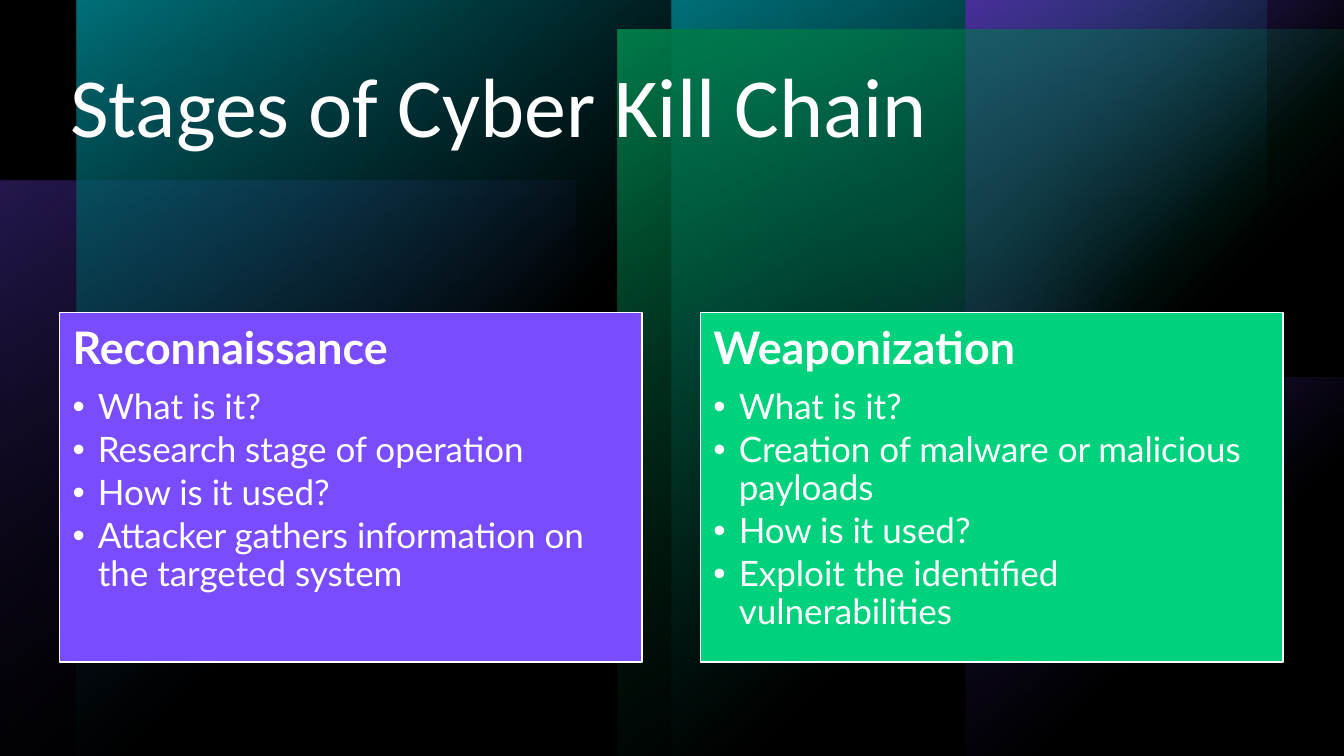
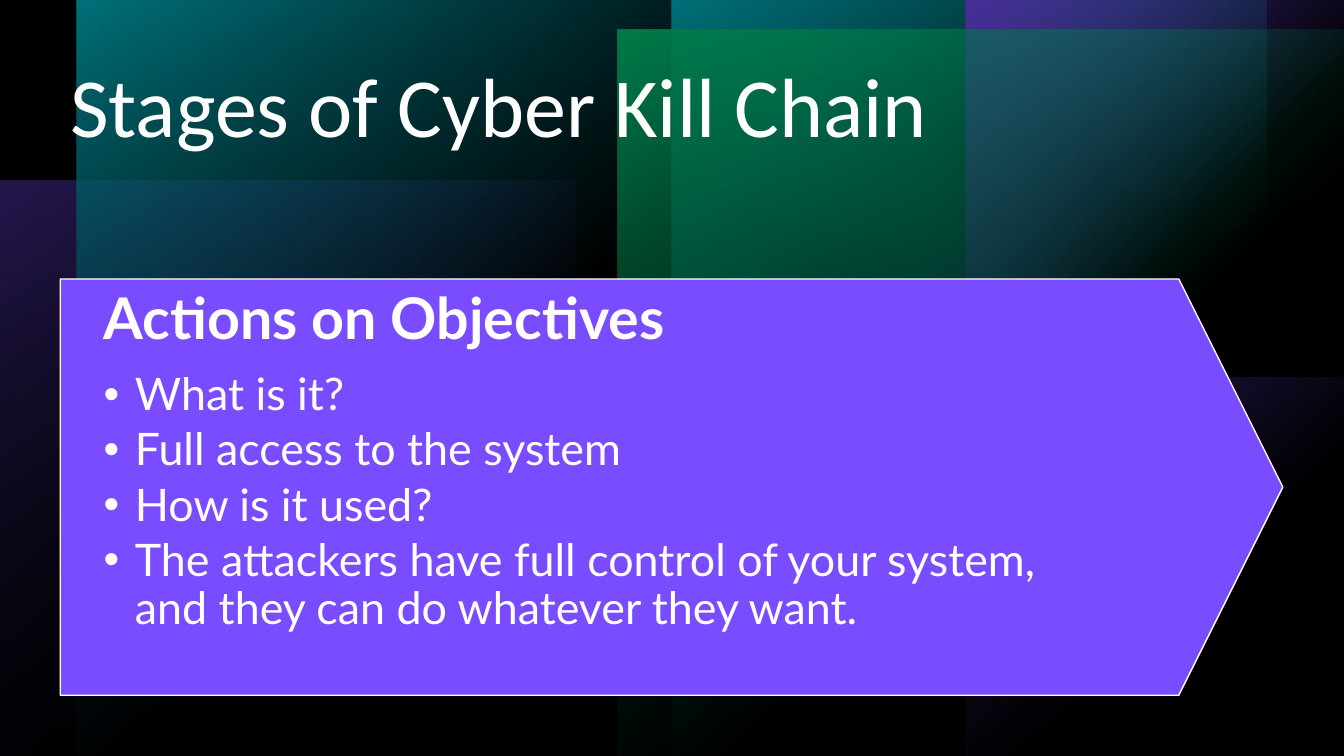
from lxml import etree
from pptx import Presentation
from pptx.dml.color import RGBColor
from pptx.enum.shapes import MSO_SHAPE
from pptx.enum.text import MSO_ANCHOR, PP_ALIGN
from pptx.oxml.ns import qn
from pptx.util import Cm, Pt

RECT, OVAL, PLATE = MSO_SHAPE.RECTANGLE, MSO_SHAPE.OVAL, MSO_SHAPE.PENTAGON
TOP, LEFT = MSO_ANCHOR.TOP, PP_ALIGN.LEFT
PURPLE, GREEN, TEAL = "794DFF", "00D17D", "00BAC8"
BLACK, WHITE = "000000", "FFFFFF"
WIDTH, HEIGHT = 33.87, 19.05
TITLE_FONT, BODY_FONT = "Calibri", "Lato"


def rgb(value):
    return RGBColor.from_string(value)


def add_xml(parent, tag, **attrs):
    return etree.SubElement(parent, qn(tag), {k: str(v) for k, v in attrs.items()})


def add_color(parent, color, alpha):
    clr = add_xml(parent, "a:srgbClr", val=color)
    if alpha < 100:
        add_xml(clr, "a:alpha", val=alpha * 1000)


def add_box(s, kind, box):
    sp = s.shapes.add_shape(kind, *(Cm(v) for v in box))
    sp.shadow.inherit = False
    sp.line.fill.background()
    sp.fill.background()
    return sp


def replace_fill(sp, tag):
    """Swap the empty fill for a new fill element and return it."""
    old = sp._element.spPr.find(qn("a:noFill"))
    new = etree.Element(qn(tag))
    old.getparent().replace(old, new)
    return new


def add_gradient(s, box, stops, radial=True):
    fill = replace_fill(add_box(s, RECT, box), "a:gradFill")
    stop_list = add_xml(fill, "a:gsLst")
    for pos, color, alpha in stops:
        add_color(add_xml(stop_list, "a:gs", pos=pos * 1000), color, alpha)
    if radial:
        shade = add_xml(fill, "a:path", path="circle")
        add_xml(shade, "a:fillToRect", r=100000, b=100000)
    else:
        add_xml(fill, "a:lin", ang=5400000, scaled=0)


def add_glow(s, box, color, alpha):
    sp = add_box(s, OVAL, box)
    add_color(replace_fill(sp, "a:solidFill"), color, alpha)
    effects = sp._element.spPr.find(qn("a:effectLst"))
    add_xml(effects, "a:softEdge", rad=Cm(3.53))


def add_backdrop(s, box):
    x, y, w, h = box
    half = h / 2
    s.background.fill.solid()
    s.background.fill.fore_color.rgb = rgb(BLACK)

    def corner(left, top, width, height, color, alpha=100):
        add_gradient(s, (x + left, y + top, width, height),
                     [(0, color, alpha), (60, color, 0)])

    corner(0, h - 14.5, 14.5, 14.5, PURPLE, 60)
    add_glow(s, (x + 17.73, y, 12, 12), GREEN, 96)
    add_glow(s, (x + 17, y + 3.43, 15.3, 15.3), PURPLE, 60)
    for left in (16.92, 1.92):
        corner(left, 0, 15, h, TEAL)
    for top in (half, 0):
        corner(w - half, top, half, half, PURPLE)
    corner(w - 18.3, h - 18.3, 18.3, 18.3, GREEN)
    # Dark veil over the colours
    add_gradient(s, box, [(0, BLACK, 40), (100, BLACK, 80)], radial=False)


def style_paragraph(p, text, font, **para):
    for name, value in {"alignment": LEFT, "line_spacing": 0.9, **para}.items():
        setattr(p, name, value)
    r = p.add_run()
    r.text = text
    r.font.color.rgb = rgb(WHITE)
    for name, value in font.items():
        setattr(r.font, name, value)


def add_title(s, text, box):
    tf = s.shapes.add_textbox(*(Cm(v) for v in box)).text_frame
    tf.word_wrap = True
    style_paragraph(tf.paragraphs[0], text, {"name": TITLE_FONT, "size": Pt(60)})


def add_bullet(p, indent):
    pPr = p._p.get_or_add_pPr()
    pPr.set("marL", str(Cm(indent)))
    pPr.set("indent", str(-Cm(indent)))
    add_xml(pPr, "a:buFont", typeface="Arial")
    add_xml(pPr, "a:buChar", char="•")


def add_stage(s, box, stage, color, sizes, indent, insets, kind=RECT):
    """Filled panel with a bold heading and bullets."""
    heading, bullets = stage
    head_size, body_size = sizes
    sp = add_box(s, kind, box)
    if kind == PLATE:
        sp.adjustments[0] = 0.25
    sp.fill.solid()
    sp.fill.fore_color.rgb = rgb(color)
    sp.line.color.rgb = rgb(WHITE)
    sp.line.width = Pt(1)

    tf = sp.text_frame
    tf.word_wrap = True
    tf.vertical_anchor = TOP
    for side, value in zip(("left", "top", "right", "bottom"), insets):
        setattr(tf, "margin_" + side, Cm(value))
    style_paragraph(tf.paragraphs[0], heading,
                    {"name": BODY_FONT, "size": Pt(head_size), "bold": True},
                    space_after=Pt(head_size * 0.35))
    for text in bullets:
        p = tf.add_paragraph()
        style_paragraph(p, text, {"name": BODY_FONT, "size": Pt(body_size)},
                        level=1, space_after=Pt(body_size * 0.15))
        add_bullet(p, indent)


def add_base_slide(prs, title):
    s = prs.slides.add_slide(prs.slide_layouts[6])
    add_backdrop(s, (0, 0, WIDTH, HEIGHT))
    add_title(s, title, (1.52, 1.5, 30.76, 5.03))
    return s


def add_cards(s, box, stages, colors, gap):
    x, y, w, h = box
    card = (w - gap * (len(stages) - 1)) / len(stages)
    for i, (stage, color) in enumerate(zip(stages, colors)):
        add_stage(s, (x + i * (card + gap), y, card, h), stage, color,
                  (32, 25), 0.64, (0.33,) * 4)


def describe(name, what, use):
    return name, ["What is it?", what, "How is it used?", use]


prs = Presentation()
prs.slide_width, prs.slide_height = Cm(WIDTH), Cm(HEIGHT)
TITLE = "Stages of Cyber Kill Chain"

# First stages side by side
s = add_base_slide(prs, TITLE)
add_cards(s, (1.5, 7.87, 30.83, 8.81), [
    describe("Reconnaissance", "Research stage of operation",
             "Attacker gathers information on the targeted system"),
    describe("Weaponization", "Creation of malware or malicious payloads",
             "Exploit the identified vulnerabilities"),
], (PURPLE, GREEN), gap=1.47)

# Last stage in an arrow panel
s = add_base_slide(prs, TITLE)
add_stage(s, (1.52, 7.03, 30.81, 10.49),
          describe("Actions on Objectives", "Full access to the system",
                   "The attackers have full control of your system, "
                   "and they can do whatever they want."),
          PURPLE, (41, 32), 0.79, (1.09, 0.28, 4.34, 0.28), PLATE)

prs.save("out.pptx")
